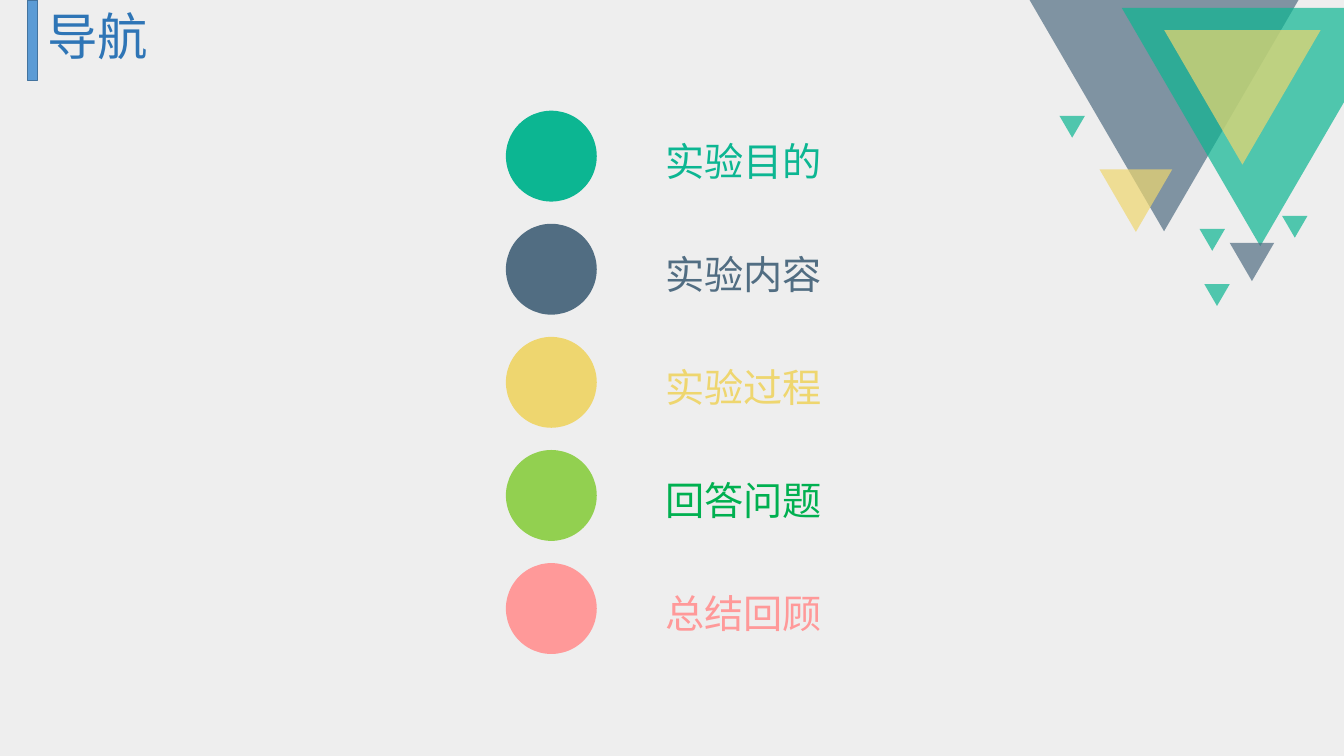
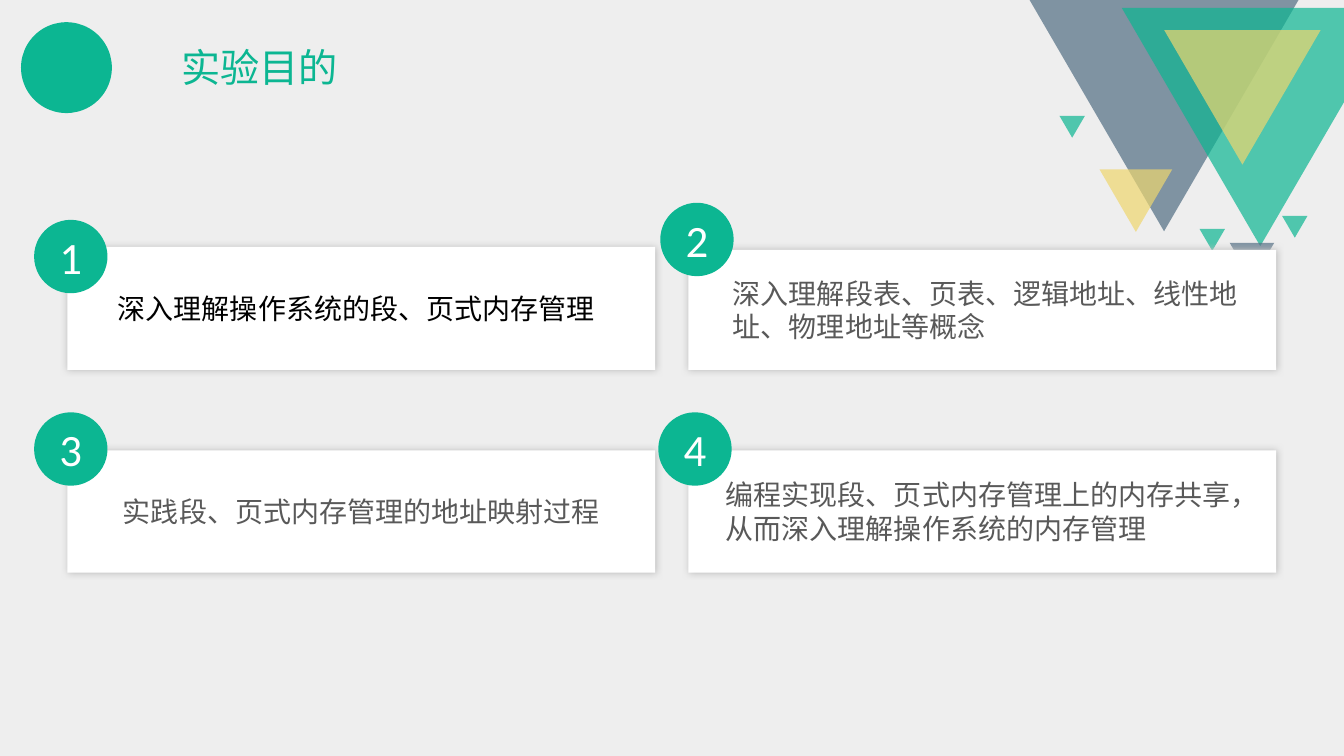
"""Build a navigation slide and an experiment-goals slide sharing one master."""
from dataclasses import dataclass

import pptx
import pptx.dml.color
import pptx.enum.shapes
import pptx.enum.text
import pptx.oxml
import pptx.oxml.ns
import pptx.util
from lxml import etree

Cm, Pt = pptx.util.Cm, pptx.util.Pt
SHAPE = pptx.enum.shapes.MSO_SHAPE
ALIGN = pptx.enum.text.PP_ALIGN
ANCHOR = pptx.enum.text.MSO_ANCHOR
qn = pptx.oxml.ns.qn


@dataclass(frozen=True)
class Theme:
    background: str = "EEEEEE"
    teal: str = "0CB692"
    slate: str = "516D82"
    yellow: str = "EED66F"
    lime: str = "92D050"
    green: str = "00B050"
    pink: str = "FF9999"
    blue: str = "5B9BD5"
    blue_line: str = "43739E"
    blue_text: str = "2E75B6"
    white: str = "FFFFFF"
    black: str = "000000"
    gray: str = "595959"
    shadow: str = "BFBFBF"
    title_font: str = "League Spartan"
    text_font: str = "Noto Sans CJK SC"
    number_font: str = "Calibri"
    title_size: int = 36
    section_size: int = 28
    number_size: int = 32
    text_size: int = 20


T = Theme()

TRIANGLES = [
    (25.4, -0.94, 7.87, T.slate),
    (28.27, 0.2, 6.98, T.teal),
    (29.34, 0.76, 3.94, T.yellow),
    (27.71, 4.27, 1.83, T.yellow),
    (32.31, 5.44, 0.64, T.teal),
    (30.35, 7.16, 0.64, T.teal),
    (30.23, 5.77, 0.64, T.teal),
    (30.99, 6.12, 1.12, T.slate),
    (26.7, 2.92, 0.64, T.teal),
]
TRIANGLE_RATIO = 0.86
TRIANGLE_ALPHA = 70

NAV_TITLE = "导航"
SECTIONS = [
    ("实验目的", T.teal, T.teal),
    ("实验内容", T.slate, T.slate),
    ("实验过程", T.yellow, T.yellow),
    ("回答问题", T.lime, T.green),
    ("总结回顾", T.pink, T.pink),
]
NAV_TOP, NAV_PITCH, DOT = 2.79, 2.85, 2.29
NAV_LINE, NAV_GAP = 40, 40.8

GOALS = [
    {"text": "深入理解操作系统的段、页式内存管理", "color": T.black,
     "top": 6.22, "inset": 1.27, "badge": (0.86, 5.54)},
    {"text": "深入理解段表、页表、逻辑地址、线性地址、物理地址等概念", "color": T.gray,
     "top": 6.3, "inset": 1.12, "badge": (16.64, 5.11)},
    {"text": "实践段、页式内存管理的地址映射过程", "color": T.gray,
     "top": 11.35, "inset": 1.4, "badge": (0.86, 10.39)},
    {"text": "编程实现段、页式内存管理上的内存共享，从而深入理解操作系统的内存管理",
     "color": T.gray, "top": 11.35, "inset": 0.94, "badge": (16.59, 10.39)},
]
CARD_LEFTS, CARD_BOTTOMS = (1.7, 17.35), (9.32, 14.43)
CARD_WIDTH, CARD_RIGHT_INSET, BADGE = 14.81, 0.91, 1.85


def rgb(color):
    return pptx.dml.color.RGBColor.from_string(color)


def place(sp, left, top, width, height):
    sp.left, sp.top, sp.width, sp.height = map(Cm, (left, top, width, height))


def add_shape(s, kind, box, fill, line=None):
    sp = s.shapes.add_shape(kind, *map(Cm, box))
    sp.shadow.inherit = False
    sp.fill.solid()
    sp.fill.fore_color.rgb = rgb(fill)
    if line:
        sp.line.color.rgb = rgb(line)
        sp.line.width = Pt(1)
    else:
        sp.line.fill.background()
    return sp


def add_dot(s, left, top, size, fill):
    return add_shape(s, SHAPE.OVAL, (left, top, size, size), fill)


def style(p, font, size, color, align=ALIGN.LEFT):
    p.alignment = align
    for r in p.runs:
        r.font.name, r.font.size = font, Pt(size)
        r.font.color.rgb = rgb(color)
        ea = etree.SubElement(r.font._element, qn("a:ea"))
        ea.set("typeface", T.text_font)


def set_frame(tf, anchor, left=0, right=0):
    tf.word_wrap = True
    tf.auto_size = pptx.enum.text.MSO_AUTO_SIZE.NONE
    tf.vertical_anchor = anchor
    tf.margin_left, tf.margin_right = Cm(left), Cm(right)
    tf.margin_top = tf.margin_bottom = 0


def set_title(s, text, box, size, color):
    sp = s.shapes.title
    place(sp, *box)
    set_frame(sp.text_frame, ANCHOR.MIDDLE, 0.25, 0.25)
    sp.text_frame.text = text
    style(sp.text_frame.paragraphs[0], T.title_font, size, color)


def add_card_shadow(sp):
    effects = sp._element.spPr.find(qn("a:effectLst"))
    shadow = etree.SubElement(effects, qn("a:outerShdw"),
                              blurRad=str(Pt(5)), dist="0", algn="ctr", rotWithShape="0")
    etree.SubElement(shadow, qn("a:srgbClr"), val=T.shadow)


def move_triangles_to_master(prs, s):
    master = prs.slide_master
    master.background.fill.solid()
    master.background.fill.fore_color.rgb = rgb(T.background)
    for left, top, width, color in TRIANGLES:
        box = (left, top, width, width * TRIANGLE_RATIO)
        sp = add_shape(s, SHAPE.ISOSCELES_TRIANGLE, box, color)
        sp.rotation = 180
        clr = sp._element.spPr.find(qn("a:solidFill")).find(qn("a:srgbClr"))
        etree.SubElement(clr, qn("a:alpha"), val=str(TRIANGLE_ALPHA * 1000))
        master.shapes.element.append(sp.element)


def build_navigation(s):
    set_title(s, NAV_TITLE, (0.94, 0, 6, 1.8), T.title_size, T.blue_text)
    add_shape(s, SHAPE.RECTANGLE, (0.69, 0, 0.25, 2.03), T.blue, T.blue_line)
    body = s.placeholders[1]
    place(body, 16.76, 3.23, 6, NAV_PITCH * len(SECTIONS))
    tf = body.text_frame
    set_frame(tf, ANCHOR.TOP)
    tf.text = "\n".join(name for name, _, _ in SECTIONS)
    for i, (p, (_, fill, color)) in enumerate(zip(tf.paragraphs, SECTIONS)):
        add_dot(s, 12.75, NAV_TOP + i * NAV_PITCH, DOT, fill)
        style(p, T.title_font, T.section_size, color)
        p.line_spacing = Pt(NAV_LINE)
        p.space_before, p.space_after = Pt(0), Pt(NAV_GAP)
        pPr = p._p.get_or_add_pPr()
        pPr.set("marL", "0")
        pPr.set("indent", "0")
        etree.SubElement(pPr, qn("a:buNone"))


def build_goals(s):
    name, fill, color = SECTIONS[0]
    set_title(s, name, (4.32, 0.97, 6, 1.45), T.section_size, color)
    add_dot(s, 0.53, 0.56, DOT, fill)
    for i, goal in enumerate(GOALS):
        row, col = divmod(i, len(CARD_LEFTS))
        box = (CARD_LEFTS[col], goal["top"], CARD_WIDTH, CARD_BOTTOMS[row] - goal["top"])
        card = add_shape(s, SHAPE.RECTANGLE, box, T.white)
        add_card_shadow(card)
        set_frame(card.text_frame, ANCHOR.MIDDLE, goal["inset"], CARD_RIGHT_INSET)
        card.text_frame.text = goal["text"]
        p = card.text_frame.paragraphs[0]
        style(p, T.text_font, T.text_size, goal["color"])
        p.line_spacing = Pt(24)
    for number, goal in enumerate(GOALS, 1):
        badge = add_dot(s, *goal["badge"], BADGE, T.teal)
        set_frame(badge.text_frame, ANCHOR.MIDDLE)
        badge.text_frame.text = str(number)
        style(badge.text_frame.paragraphs[0], T.number_font, T.number_size, T.white, ALIGN.CENTER)


def main():
    prs = pptx.Presentation()
    prs.slide_width, prs.slide_height = Cm(33.87), Cm(19.05)
    navigation = prs.slides.add_slide(prs.slide_layouts.get_by_name("Title and Content"))
    goals = prs.slides.add_slide(prs.slide_layouts.get_by_name("Title Only"))
    move_triangles_to_master(prs, navigation)
    build_navigation(navigation)
    build_goals(goals)
    prs.save("out.pptx")


if __name__ == "__main__":
    main()
